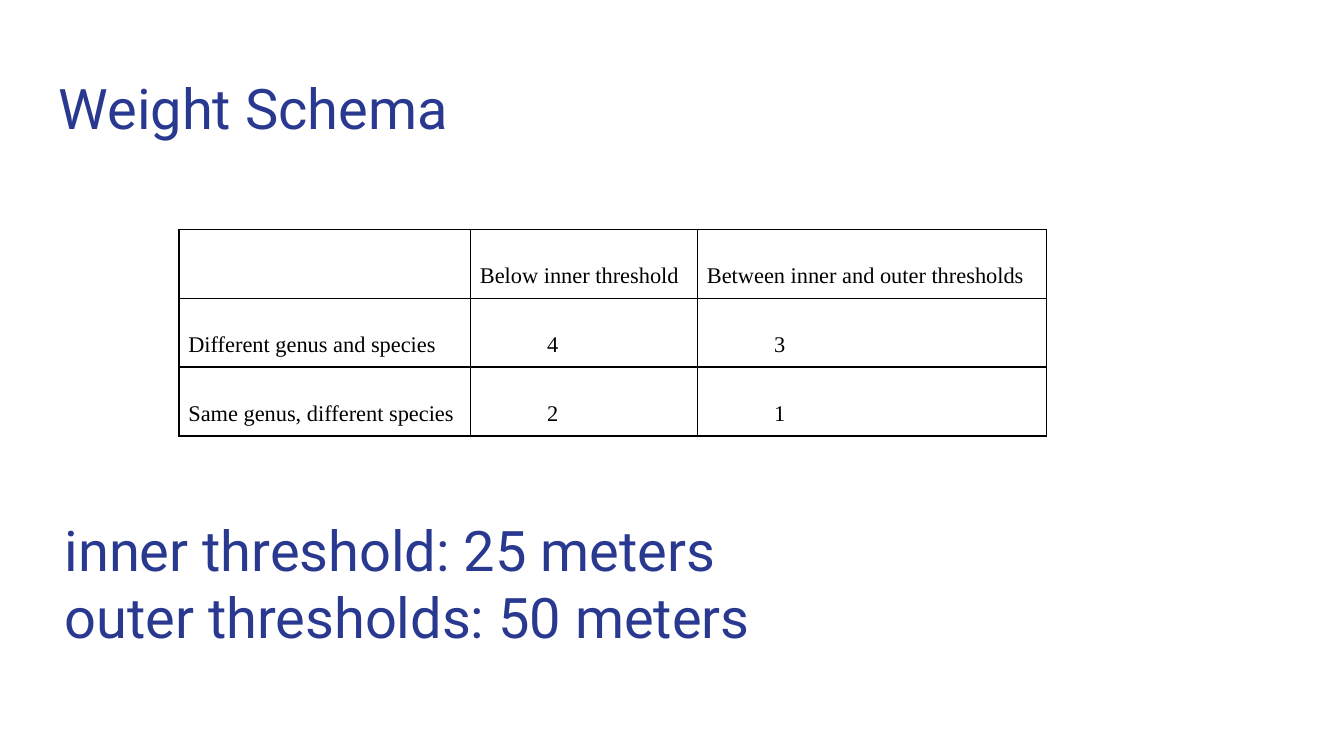
from lxml.etree import fromstring
from pptx import Presentation
from pptx.dml.color import RGBColor
from pptx.enum.text import MSO_ANCHOR, MSO_AUTO_SIZE, PP_ALIGN
from pptx.oxml.ns import nsdecls
from pptx.util import Cm, Pt

NAVY = RGBColor(0x2A, 0x39, 0x90)
BLACK = RGBColor(0, 0, 0)

ROWS = [
    ["", "Below inner threshold", "Between inner and outer thresholds"],
    ["Different genus and species", "4", "3"],
    ["Same genus, different species", "2", "1"],
]
WIDTHS = [5.51, 4.29, 6.6]
HEIGHT = 1.29


class Deck:
    head = ("Roboto", Pt(30), NAVY)
    grid = ("Times New Roman", Pt(12), BLACK)

    def __init__(self, slide):
        self.slide = slide

    def style(self, para, look):
        for run in para.runs:
            run.font.name, run.font.size, run.font.color.rgb = look

    def heading(self, index, text, left, top):
        """Fill a placeholder with large text, without bullets."""
        box = self.slide.placeholders[index]
        box.left, box.top = Cm(left), Cm(top)
        box.width, box.height = Cm(23.67), Cm(1.68)
        frame = box.text_frame
        frame.text = text
        frame.word_wrap = True
        frame.auto_size = MSO_AUTO_SIZE.NONE
        frame.vertical_anchor = MSO_ANCHOR.TOP
        frame.margin_left = frame.margin_right = Cm(0.25)
        frame.margin_top = frame.margin_bottom = Cm(0.25)
        for para in frame.paragraphs:
            para.alignment = PP_ALIGN.LEFT
            para.space_before = Pt(0)
            self.style(para, self.head)
            props = para._p.get_or_add_pPr()
            props.set("marL", "0")
            props.set("indent", "0")
            props.append(fromstring(f"<a:buNone {nsdecls('a')}/>"))

    def border(self, cell):
        props = cell._tc.get_or_add_tcPr()
        for spot, side in enumerate("LRTB"):
            props.insert(spot, fromstring(
                f'<a:ln{side} {nsdecls("a")} w="{Pt(1)}"><a:solidFill>'
                f'<a:srgbClr val="{BLACK}"/></a:solidFill></a:ln{side}>'))

    def cell(self, cell, text):
        cell.text = text
        cell.margin_left = cell.margin_right = Cm(0.18)
        cell.margin_top = cell.margin_bottom = Cm(0.18)
        cell.fill.background()
        self.border(cell)
        para = cell.text_frame.paragraphs[0]
        if text:
            para.line_spacing = 2.0
        if text.isdigit():
            para._p.get_or_add_pPr().set("indent", str(Cm(1.27)))
        self.style(para, self.grid)

    def table(self, rows, left, top):
        table = self.slide.shapes.add_table(
            len(rows), len(WIDTHS), Cm(left), Cm(top),
            Cm(sum(WIDTHS)), Cm(HEIGHT * len(rows))).table
        table.first_row = table.horz_banding = False
        for col, width in zip(table.columns, WIDTHS):
            col.width = Cm(width)
        for row, texts in zip(table.rows, rows):
            row.height = Cm(HEIGHT)
            for cell, text in zip(row.cells, texts):
                self.cell(cell, text)


def main():
    prs = Presentation()
    prs.slide_width, prs.slide_height = Cm(25.4), Cm(14.29)
    deck = Deck(prs.slides.add_slide(prs.slide_layouts[1]))
    deck.heading(0, "Weight Schema", 0.86, 1.14)
    deck.table(ROWS, 3.38, 4.34)
    deck.heading(1, "inner threshold: 25 meters\nouter thresholds: 50 meters",
                 0.97, 9.5)
    prs.save("out.pptx")


if __name__ == "__main__":
    main()
